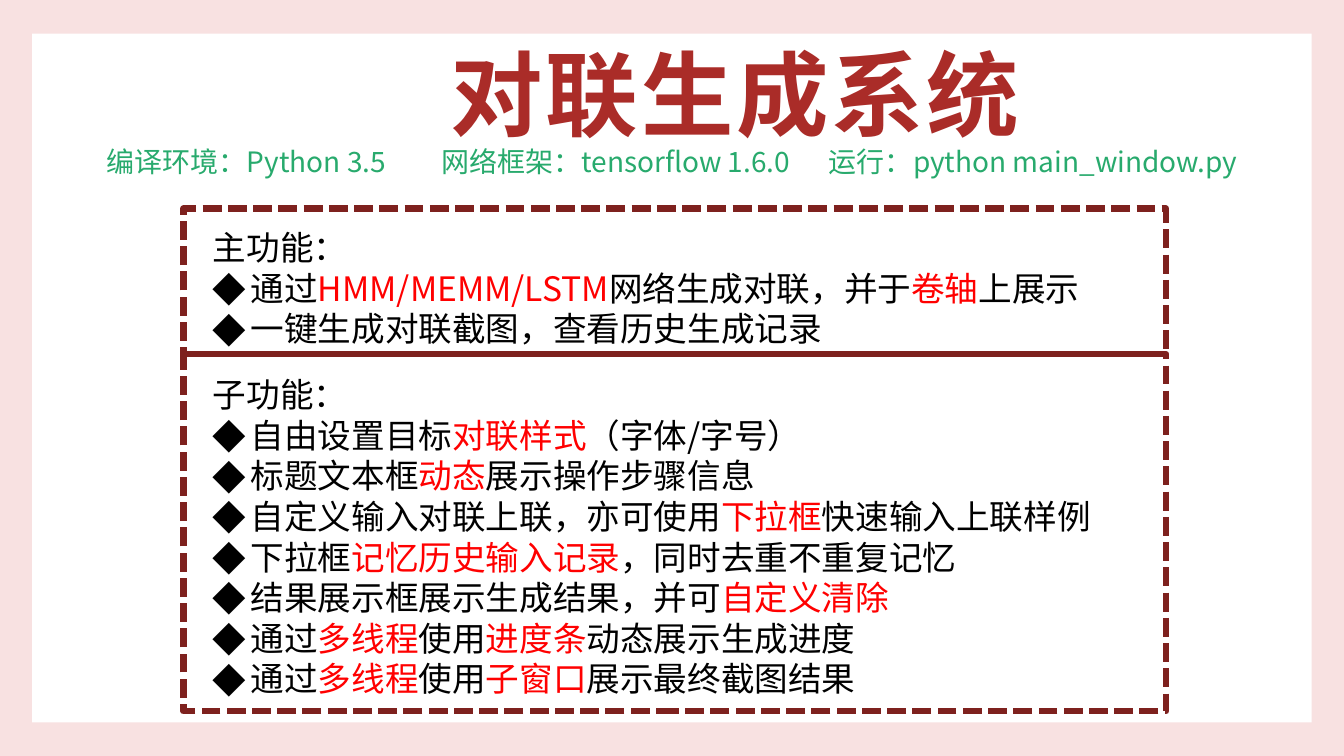
from pptx import Presentation
from pptx.dml import color
from pptx.enum import dml, shapes, text
from pptx.oxml import xmlchemy
from pptx.oxml.ns import qn
from pptx.util import Pt

FONT = "Noto Sans CJK SC"
BLACK, RED, MAROON = "000000", "FF0000", "7E211E"
FRAME_LEFT, FRAME_WIDTH = 131, 702

MAIN_FEATURES = [
    ["通过", "HMM/MEMM/LSTM", "网络生成对联，并于", "卷轴", "上展示"],
    ["一键生成对联截图，查看历史生成记录"],
]
SUB_FEATURES = [
    ["自由设置目标", "对联样式", "（字体/字号）"],
    ["标题文本框", "动态", "展示操作步骤信息"],
    ["自定义输入对联上联，亦可使用", "下拉框", "快速输入上联样例"],
    ["下拉框", "记忆历史输入记录", "，同时去重不重复记忆"],
    ["结果展示框展示生成结果，并可", "自定义清除"],
    ["通过", "多线程", "使用", "进度条", "动态展示生成进度"],
    ["通过", "多线程", "使用", "子窗口", "展示最终截图结果"],
]


def rgb(value):
    return color.RGBColor.from_string(value)


def add_rectangle(slide, left, top, width, height, fill=None, line=None):
    shape = slide.shapes.add_shape(
        shapes.MSO_SHAPE.RECTANGLE, Pt(left), Pt(top), Pt(width), Pt(height))
    shape.shadow.inherit = False
    if fill:
        shape.fill.solid()
        shape.fill.fore_color.rgb = rgb(fill)
    else:
        shape.fill.background()
    if line:
        shape.line.color.rgb = rgb(line)
        shape.line.width = Pt(4.5)
        shape.line.dash_style = dml.MSO_LINE.SQUARE_DOT
    else:
        shape.line.fill.background()


def add_text_frame(slide, left, top, width, height):
    box = slide.shapes.add_textbox(Pt(left), Pt(top), Pt(width), Pt(height))
    box.text_frame.word_wrap = True
    return box.text_frame


def add_child(parent, tag, **attributes):
    child = xmlchemy.OxmlElement(tag)
    for name, value in attributes.items():
        child.set(name, str(value))
    parent.append(child)
    return child


def set_font(paragraph, size, value, name=FONT):
    paragraph.font.size = Pt(size)
    paragraph.font.name = name
    paragraph.font.color.rgb = rgb(value)
    add_child(paragraph.font._element, "a:ea", typeface=FONT)


def add_title(slide):
    frame = add_text_frame(slide, 315, 36, 471, 60)
    frame.vertical_anchor = text.MSO_ANCHOR.MIDDLE
    paragraph = frame.paragraphs[0]
    paragraph.text = "对联生成系统"
    set_font(paragraph, 66, "AA2C28", "Arial")
    paragraph.font.bold = True
    paragraph.runs[0].font._element.set("spc", "200")


def add_environment(slide):
    paragraph = add_text_frame(slide, 69, 100, 829, 32).paragraphs[0]
    paragraph.text = "编译环境：Python 3.5\t网络框架：tensorflow 1.6.0\t运行：python main_window.py"
    paragraph.line_spacing = Pt(24)
    tab_list = add_child(paragraph._p.get_or_add_pPr(), "a:tabLst")
    for position in (239, 516):
        add_child(tab_list, "a:tab", pos=Pt(position), algn="l")
    set_font(paragraph, 20, "28AA6D")


def add_bullet(paragraph):
    properties = paragraph._p.get_or_add_pPr()
    properties.set("marL", str(Pt(27)))
    properties.set("indent", str(Pt(-27)))
    add_child(properties, "a:buFont", typeface=FONT)
    add_child(properties, "a:buChar", char="◆")


def add_features(slide, top, height, heading, features):
    frame = add_text_frame(slide, 145, top, 673, height)
    for index, parts in enumerate([[heading]] + features):
        paragraph = frame.add_paragraph() if index else frame.paragraphs[0]
        paragraph.line_spacing = Pt(29)
        if index:
            add_bullet(paragraph)
        set_font(paragraph, 24, BLACK)
        for position, part in enumerate(parts):
            run = paragraph.add_run()
            run.text = part
            if position % 2:
                run.font.color.rgb = rgb(RED)


def main():
    presentation = Presentation()
    presentation.slide_width, presentation.slide_height = Pt(960), Pt(540)
    slide = presentation.slides.add_slide(presentation.slide_layouts[6])
    slide.background.fill.solid()
    slide.background.fill.fore_color.rgb = rgb("F8E1E1")
    add_rectangle(slide, 23, 24, 914, 492, fill="FFFFFF")
    add_title(slide)
    add_environment(slide)
    add_features(slide, 263.5, 240, "子功能：", SUB_FEATURES)
    add_features(slide, 158.5, 94, "主功能：", MAIN_FEATURES)
    for top, height in ((149, 104), (253, 255)):
        add_rectangle(slide, FRAME_LEFT, top, FRAME_WIDTH, height, line=MAROON)
    presentation.save("out.pptx")


if __name__ == "__main__":
    main()
